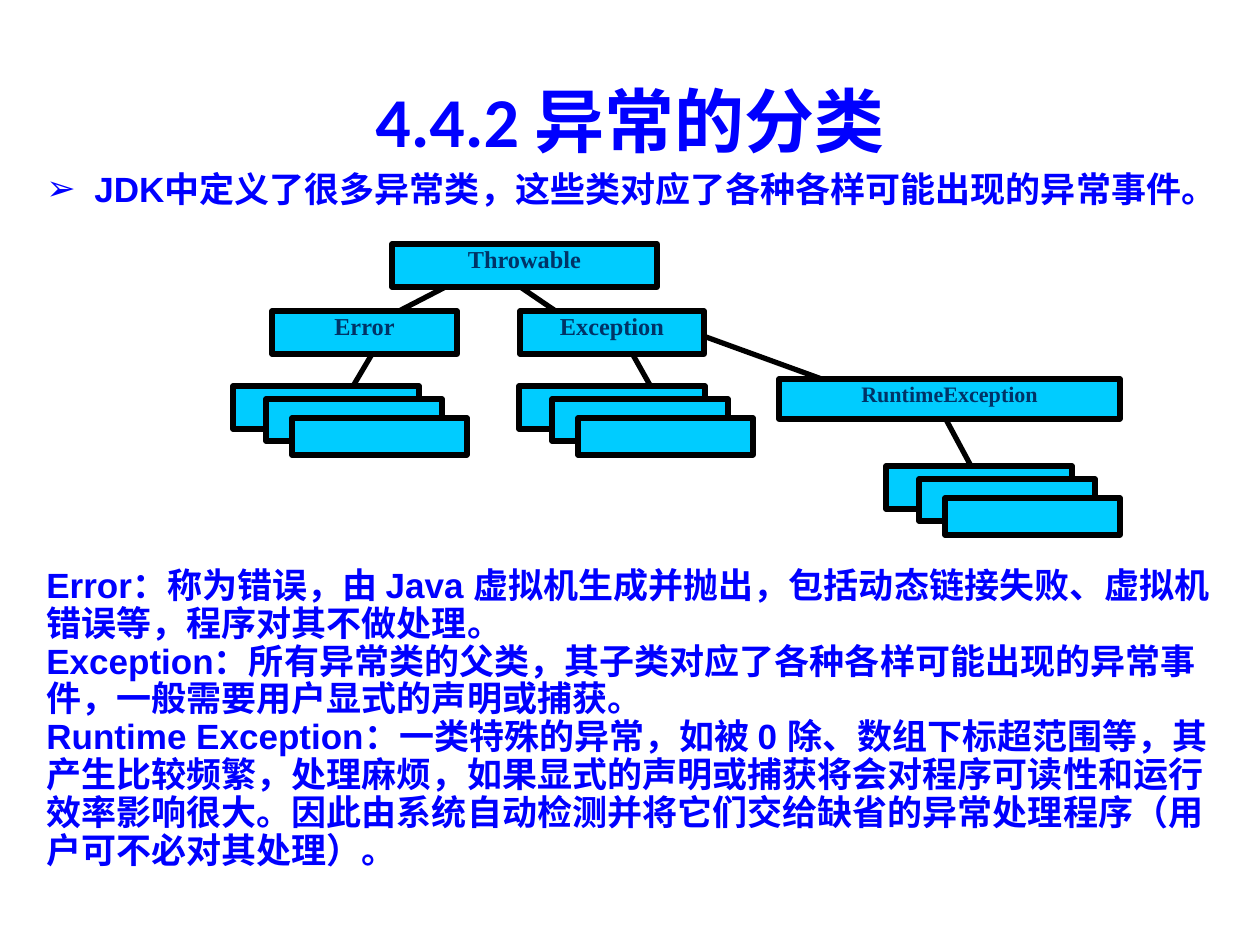
"""Build the slide on the classification of Java exceptions."""
import dataclasses

import lxml.etree
import pptx
import pptx.dml.color
import pptx.enum.shapes
import pptx.enum.text
import pptx.oxml.ns
import pptx.util

SCALE = 914400 / 126
ALIGN = pptx.enum.text.PP_ALIGN
ANCHOR = pptx.enum.text.MSO_ANCHOR


@dataclasses.dataclass(frozen=True)
class Theme:
    blue: str = "0000FF"
    navy: str = "003366"
    cyan: str = "00CCFF"
    black: str = "000000"
    heading_font: str = "Calibri"
    body_font: str = "Arial"
    class_font: str = "Times New Roman"
    heading_size: float = 40
    body_size: float = 20
    class_size: float = 13.9
    small_class_size: float = 12.6
    line_width: float = 3


theme = Theme()


def px(*lengths):
    return [round(length * SCALE) for length in lengths]


def write(para, text, font, size, color):
    span = para.add_run()
    span.text = text
    span.font.name = font
    span.font.size = pptx.util.Pt(size)
    span.font.bold = True
    span.font.color.rgb = pptx.dml.color.RGBColor.from_string(color)


deck = pptx.Presentation()
deck.slide_width, deck.slide_height = px(1260, 945)
page = deck.slides.add_slide(deck.slide_layouts[6])

title = page.shapes.add_textbox(*px(63, 76, 1134, 88)).text_frame
title.word_wrap = True
title.vertical_anchor = ANCHOR.MIDDLE
title.paragraphs[0].alignment = ALIGN.CENTER
write(title.paragraphs[0], "4.4.2 异常的分类", theme.heading_font, theme.heading_size, theme.blue)

intro = page.shapes.add_textbox(*px(34, 161, 1191, 55)).text_frame
intro.word_wrap = True
intro.auto_size = pptx.enum.text.MSO_AUTO_SIZE.SHAPE_TO_FIT_TEXT
para = intro.paragraphs[0]
properties = para._p.get_or_add_pPr()
indent = px(48)[0]
properties.set("marL", str(indent))
properties.set("indent", str(-indent))
qn = pptx.oxml.ns.qn
bullet_color = lxml.etree.SubElement(properties, qn("a:buClr"))
lxml.etree.SubElement(bullet_color, qn("a:srgbClr"), val=theme.blue)
lxml.etree.SubElement(properties, qn("a:buFont"), typeface=theme.body_font)
lxml.etree.SubElement(properties, qn("a:buChar"), char="➢")
write(para, "JDK中定义了很多异常类，这些类对应了各种各样可能出现的异常事件。",
      theme.body_font, theme.body_size, theme.blue)

links = [
    (488, 265, 372, 325),
    (488, 265, 585, 331),
    (381, 339, 333, 420),
    (624, 339, 673, 426),
    (673, 325, 896, 406),
    (935, 399, 993, 507),
]
for ends in links:
    link = page.shapes.add_connector(pptx.enum.shapes.MSO_CONNECTOR.STRAIGHT, *px(*ends))
    link.line.color.rgb = pptx.dml.color.RGBColor.from_string(theme.black)
    link.line.width = pptx.util.Pt(theme.line_width)
    lxml.etree.SubElement(link._element.spPr, qn("a:effectLst"))

boxes = [
    ("Throwable", theme.class_size, (392, 244, 265, 43)),
    ("RuntimeException", theme.small_class_size, (779, 379, 341, 40)),
    ("Error", theme.class_size, (272, 311, 185, 43)),
    ("Exception", theme.class_size, (520, 311, 184, 43)),
]
stack_origins = [(519, 386), (886, 466), (233, 386)]
stack_cards = [(0, 0, 186, 43), (33, 13, 176, 42), (59, 32, 175, 37)]
for left, top in stack_origins:
    for across, down, width, height in stack_cards:
        boxes.append(("", theme.class_size, (left + across, top + down, width, height)))

for name, size, place in boxes:
    box = page.shapes.add_shape(pptx.enum.shapes.MSO_SHAPE.RECTANGLE, *px(*place))
    box.shadow.inherit = False
    box.fill.solid()
    box.fill.fore_color.rgb = pptx.dml.color.RGBColor.from_string(theme.cyan)
    box.line.color.rgb = pptx.dml.color.RGBColor.from_string(theme.black)
    box.line.width = pptx.util.Pt(theme.line_width)
    if name:
        box.text_frame.vertical_anchor = ANCHOR.TOP
        para = box.text_frame.paragraphs[0]
        para.alignment = ALIGN.CENTER
        para.line_spacing = 0.8
        write(para, name, theme.class_font, size, theme.navy)

explanations = [
    "Error：称为错误，由 Java 虚拟机生成并抛出，包括动态链接失败、虚拟机错误等，程序对其不做处理。",
    "Exception：所有异常类的父类，其子类对应了各种各样可能出现的异常事件，一般需要用户显式的声明或捕获。",
    "Runtime Exception：一类特殊的异常，如被 0 除、数组下标超范围等，其产生比较频繁，处理麻烦，"
    "如果显式的声明或捕获将会对程序可读性和运行效率影响很大。"
    "因此由系统自动检测并将它们交给缺省的异常处理程序（用户可不必对其处理）。",
]
notes = page.shapes.add_textbox(*px(34, 562, 1191, 315)).text_frame
notes.word_wrap = True
notes.auto_size = pptx.enum.text.MSO_AUTO_SIZE.SHAPE_TO_FIT_TEXT
for index, explanation in enumerate(explanations):
    para = notes.add_paragraph() if index else notes.paragraphs[0]
    para.line_spacing = 0.9
    write(para, explanation, theme.body_font, theme.body_size, theme.blue)

deck.save("out.pptx")
